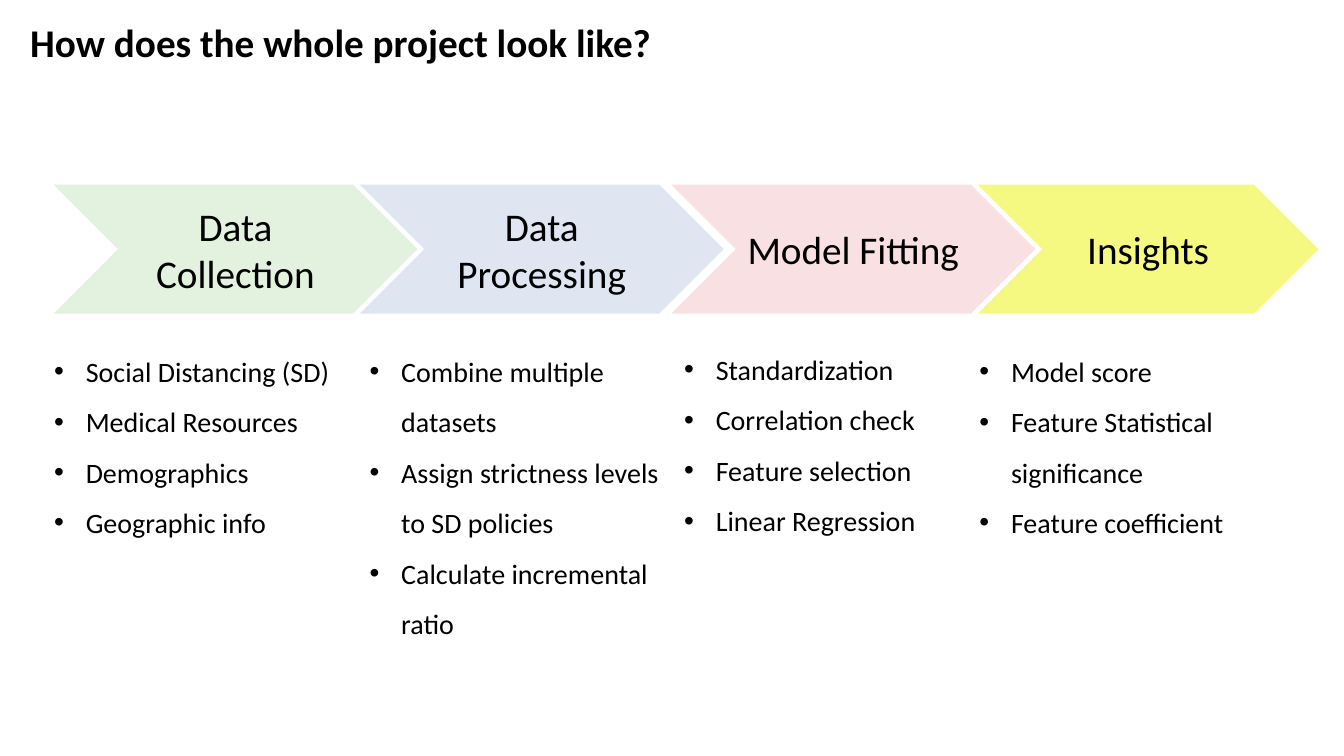
from pptx import Presentation
from pptx.dml.color import RGBColor
from pptx.enum.shapes import MSO_SHAPE
from pptx.enum.text import MSO_ANCHOR, MSO_AUTO_SIZE, PP_ALIGN
from pptx.oxml.ns import qn
from pptx.util import Pt
from lxml.etree import SubElement

COLORS = {"text": "000000", "green": "E2F2DF", "blue": "DFE6F2",
          "red": "CF253C", "yellow": "EDF50F"}

# name, color, opacity in percent, chevron (left, width),
# notes box (left, top, width, height), notes
STAGES = [
    ("Data Collection", "green", 100, (38.2, 260), (31.7, 237.6, 225.4, 185),
     ["Social Distancing (SD)", "Medical Resources", "Demographics", "Geographic info"]),
    ("Data Processing", "blue", 100, (257, 260), (257, 237.6, 224.6, 257.8),
     ["Combine multiple datasets", "Assign strictness levels to SD policies",
      "Calculate incremental ratio"]),
    ("Model Fitting", "red", 14, (479.5, 260), (481.7, 236.2, 206.6, 149),
     ["Standardization", "Correlation check", "Feature selection", "Linear Regression"]),
    ("Insights", "yellow", 52, (698.4, 243.4), (692.6, 237.6, 249.8, 149),
     ["Model score", "Feature Statistical significance", "Feature coefficient"]),
]


def style(para, size, bold=False):
    para.font.name = "Calibri"
    para.font.size = Pt(size)
    para.font.bold = bold
    para.font.color.rgb = RGBColor.from_string(COLORS["text"])


def add_bullet(para):
    properties = para._p.get_or_add_pPr()
    properties.set("marL", str(Pt(22.5)))
    properties.set("indent", str(Pt(-22.5)))
    SubElement(properties, qn("a:buFont")).set("typeface", "Arial")
    SubElement(properties, qn("a:buChar")).set("char", "•")


deck = Presentation()
deck.slide_width, deck.slide_height = Pt(960), Pt(540)
page = deck.slides.add_slide(deck.slide_layouts[5])

title = page.shapes.title
title.left, title.top, title.width, title.height = Pt(14.4), Pt(9.4), Pt(559.4), Pt(41)
title.text_frame.text = "How does the whole project look like?"
title.text_frame.auto_size = MSO_AUTO_SIZE.NONE
title.text_frame.vertical_anchor = MSO_ANCHOR.TOP
title.text_frame.paragraphs[0].alignment = PP_ALIGN.LEFT
style(title.text_frame.paragraphs[0], 28, bold=True)

for name, color, opacity, (left, width), notes_area, notes in STAGES:
    chevron = page.shapes.add_shape(MSO_SHAPE.CHEVRON, Pt(left), Pt(131.8), Pt(width), Pt(92.2))
    chevron.shadow.inherit = False
    chevron.line.fill.background()
    chevron.fill.solid()
    chevron.fill.fore_color.rgb = RGBColor.from_string(COLORS[color])
    if opacity < 100:
        fill_color = chevron._element.spPr.find(qn("a:solidFill"))[0]
        SubElement(fill_color, qn("a:alpha")).set("val", str(opacity * 1000))
    chevron.text_frame.text = name
    chevron.text_frame.word_wrap = True
    chevron.text_frame.vertical_anchor = MSO_ANCHOR.MIDDLE
    chevron.text_frame.paragraphs[0].alignment = PP_ALIGN.CENTER
    style(chevron.text_frame.paragraphs[0], 28)

    box = page.shapes.add_textbox(*map(Pt, notes_area))
    box.text_frame.word_wrap = True
    box.text_frame.text = "\n".join(notes)
    for para in box.text_frame.paragraphs:
        para.line_spacing = 1.5
        add_bullet(para)
        style(para, 20)

deck.save("out.pptx")
